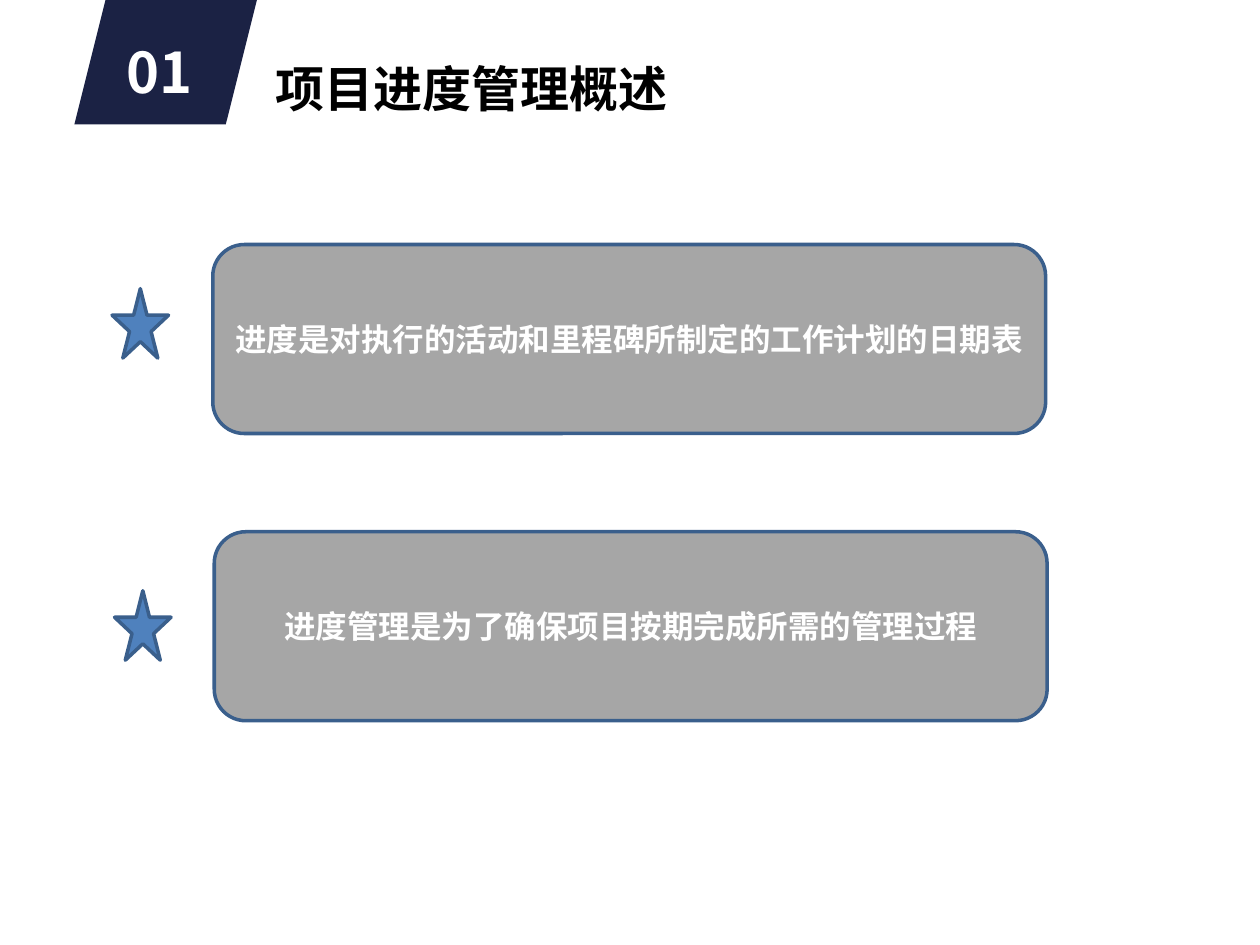
"""Build the schedule management overview slide."""
from dataclasses import dataclass

from lxml.etree import SubElement
from pptx import Presentation
from pptx.dml.color import RGBColor
from pptx.enum.shapes import MSO_SHAPE
from pptx.enum.text import MSO_ANCHOR, PP_ALIGN
from pptx.oxml.ns import qn
from pptx.util import Cm, Pt

FONT = "Noto Sans CJK SC"
HUES = {
    "navy": "1B2244",
    "gray": "A6A6A6",
    "blue": "4F81BD",
    "edge": "3A5F8C",
    "white": "FFFFFF",
    "black": "000000",
}


@dataclass
class Box:
    left: float
    top: float
    width: float
    height: float


@dataclass
class Point:
    text: str
    card: Box
    star: Box


POINTS = [
    Point("进度是对执行的活动和里程碑所制定的工作计划的日期表",
          Box(4.29, 4.93, 16.79, 3.81), Box(2.26, 5.82, 1.14, 1.4)),
    Point("进度管理是为了确保项目按期完成所需的管理过程",
          Box(4.32, 10.72, 16.79, 3.81), Box(2.31, 11.91, 1.14, 1.4)),
]


def shade(name: str) -> RGBColor:
    """Return the named colour."""
    return RGBColor.from_string(HUES[name])


def span(box: Box) -> list[Cm]:
    """Return the box as lengths."""
    return [Cm(n) for n in (box.left, box.top, box.width, box.height)]


def write(shape, text: str, size: int, hue: str, align=PP_ALIGN.LEFT, pad=0.25) -> None:
    """Put one bold line of text in a shape."""
    frame = shape.text_frame
    form = {
        "word_wrap": True,
        "vertical_anchor": MSO_ANCHOR.MIDDLE,
        "margin_left": Cm(pad),
        "margin_right": Cm(pad),
        "margin_top": 0,
        "margin_bottom": 0,
    }
    for key, value in form.items():
        setattr(frame, key, value)
    para = frame.paragraphs[0]
    para.alignment = align
    run = para.add_run()
    run.text = text
    for key, value in {"size": Pt(size), "bold": True, "name": FONT}.items():
        setattr(run.font, key, value)
    run.font.color.rgb = shade(hue)
    SubElement(run._r.get_or_add_rPr(), qn("a:ea"), typeface=FONT)


def draw(slide, kind: MSO_SHAPE, box: Box, fill: str, edge: str = ""):
    """Add a filled preset shape."""
    shape = slide.shapes.add_shape(kind, *span(box))
    shape.shadow.inherit = False
    shape.fill.solid()
    shape.fill.fore_color.rgb = shade(fill)
    if edge:
        shape.line.color.rgb = shade(edge)
        shape.line.width = Pt(2)
    else:
        shape.line.fill.background()
    return shape


def main() -> None:
    """Draw the slide and save it."""
    deck = Presentation()
    deck.slide_width, deck.slide_height = Cm(25.4), Cm(19.05)
    slide = deck.slides.add_slide(deck.slide_layouts[5])
    draw(slide, MSO_SHAPE.PARALLELOGRAM, Box(1.5, 0, 3.68, 2.51), "navy")

    title = slide.shapes.title
    title.left, title.top, title.width, title.height = span(Box(5.31, 1.02, 18.82, 1.5))
    write(title, "项目进度管理概述", 28, "black")

    label = slide.shapes.add_textbox(*span(Box(2.31, 0.74, 2.29, 1.4)))
    write(label, "01", 32, "white")

    for point in POINTS:
        card = draw(slide, MSO_SHAPE.ROUNDED_RECTANGLE, point.card, "gray", "edge")
        write(card, point.text, 18, "white", PP_ALIGN.CENTER, 0.1)
    for point in POINTS:
        draw(slide, MSO_SHAPE.STAR_5_POINT, point.star, "blue", "edge")
    deck.save("out.pptx")


if __name__ == "__main__":
    main()
